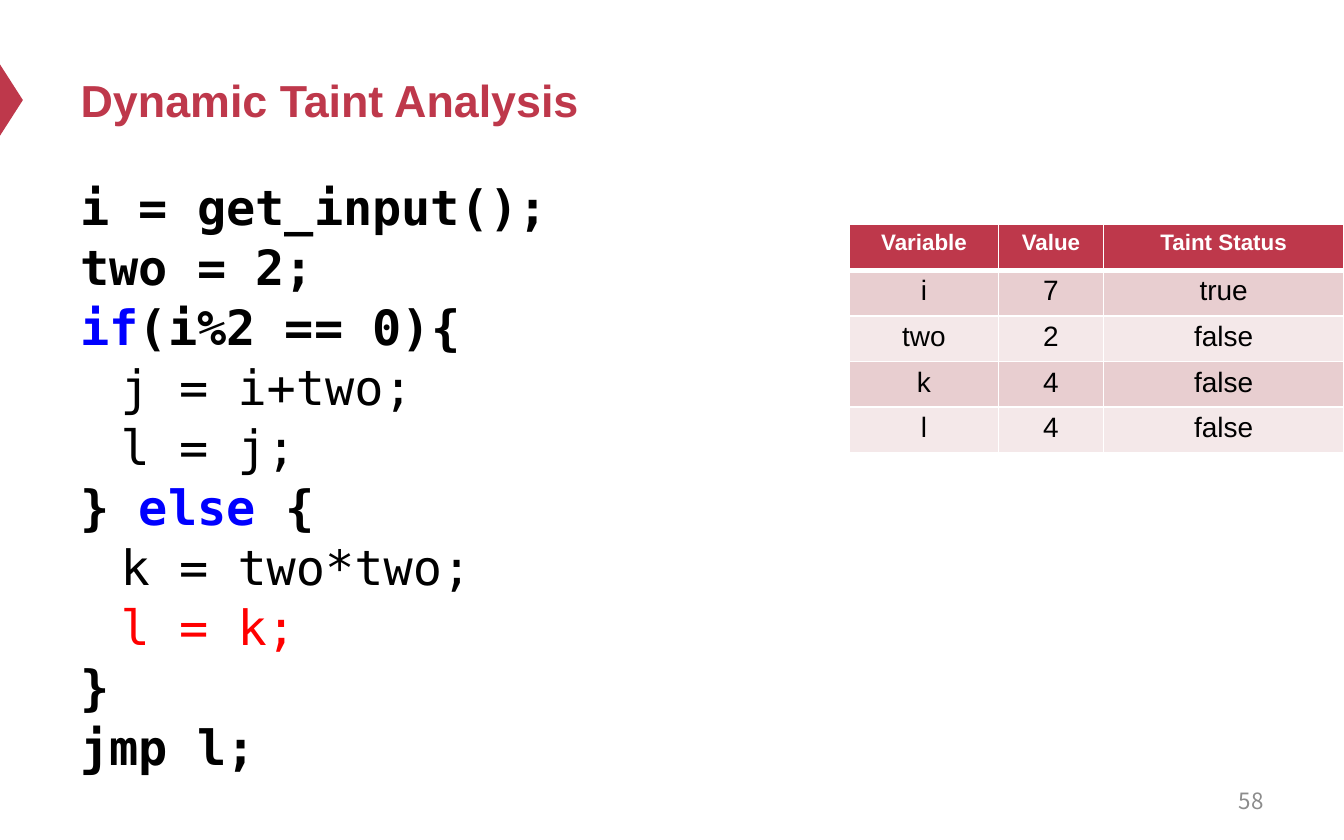
from lxml.etree import SubElement
from pptx import Presentation
from pptx.dml.color import RGBColor
from pptx.enum.shapes import MSO_SHAPE
from pptx.enum.text import MSO_ANCHOR, MSO_AUTO_SIZE, PP_ALIGN
from pptx.oxml.ns import qn
from pptx.util import Emu, Pt

PX = 9144  # 100 px to the inch
RED, BLACK, WHITE, BLUE = "BE384B", "000000", "FFFFFF", "0000FF"
BANDS = "E8CED0", "F4E8E9"
MONO = "DejaVu Sans Mono"

TITLE = "Dynamic Taint Analysis"
PAGE = "58"
# Each line: indent level, then runs of text and colour
CODE = [
    (0, [("i = get_input();", BLACK)]),
    (0, [("two = 2;", BLACK)]),
    (0, [("if", BLUE), ("(i%2 == 0){", BLACK)]),
    (1, [("j = i+two;", BLACK)]),
    (1, [("l = j;", BLACK)]),
    (0, [("} ", BLACK), ("else", BLUE), (" {", BLACK)]),
    (1, [("k = two*two;", BLACK)]),
    (1, [("l = k;", "FF0000")]),
    (0, [("}", BLACK)]),
    (0, [("jmp l;", BLACK)]),
]
TABLE = [
    ("Variable", "Value", "Taint Status"),
    ("i", "7", "true"),
    ("two", "2", "false"),
    ("k", "4", "false"),
    ("l", "4", "false"),
]
COLS = 111, 78, 179
ROW = 34


def px(*vals):
    return [Emu(v * PX) for v in vals]


def rgb(code):
    return RGBColor.from_string(code)


def style(font, color, **vals):
    font.color.rgb = rgb(color)
    for key, val in vals.items():
        setattr(font, key, val)


def frame(shape, **vals):
    text = shape.text_frame
    vals = {"word_wrap": True, "auto_size": MSO_AUTO_SIZE.NONE, **vals}
    for key, val in vals.items():
        setattr(text, key, val)
    return text


def border(cell, widths):
    """Draw white cell sides; the lines must come before the fill."""
    props = cell._tc.get_or_add_tcPr()
    for side, width in widths.items():
        line = SubElement(props, qn(f"a:ln{side}"), w=str(Pt(width)))
        fill = SubElement(line, qn("a:solidFill"))
        SubElement(fill, qn("a:srgbClr"), val=WHITE)


def add_title(slide):
    title = slide.shapes.title
    title.left, title.top, title.width, title.height = px(50, 25, 900, 98)
    para = frame(title, vertical_anchor=MSO_ANCHOR.MIDDLE).paragraphs[0]
    para.text = TITLE
    para.alignment = PP_ALIGN.LEFT
    style(para.runs[0].font, RED, name="Arial", size=Pt(24), bold=True)


def add_marker(slide):
    mark = slide.shapes.add_shape(
        MSO_SHAPE.ISOSCELES_TRIANGLE, *px(-18, 66, 53, 17))
    mark.rotation = 90
    mark.shadow.inherit = False
    mark.fill.solid()
    mark.fill.fore_color.rgb = rgb(RED)
    mark.line.fill.background()


def add_code(slide):
    box = slide.shapes.add_textbox(*px(50, 124, 900, 412))
    text = frame(box, margin_top=px(8)[0])
    for n, (level, runs) in enumerate(CODE):
        para = text.add_paragraph() if n else text.paragraphs[0]
        if n:
            para.space_before = Pt(0.9)
        if level:
            para.level = level
            para._p.get_or_add_pPr().set("marL", str(30 * level * PX))
        for words, color in runs:
            run = para.add_run()
            run.text = words
            style(run.font, color, name=MONO, size=Pt(26), bold=not level)


def add_table(slide):
    grid = slide.shapes.add_table(
        len(TABLE), len(COLS),
        *px(632, 167, sum(COLS), ROW * len(TABLE))).table
    for col, width in zip(grid.columns, COLS):
        col.width = px(width)[0]
    for r, row in enumerate(TABLE):
        head = r == 0
        grid.rows[r].height = px(ROW)[0]
        for c, words in enumerate(row):
            cell = grid.cell(r, c)
            cell.margin_top, cell.margin_bottom = px(4, 4)
            border(cell, {"L": 1, "R": 1, "T": 3 if r == 1 else 1,
                          "B": 3 if head else 1})
            cell.fill.solid()
            cell.fill.fore_color.rgb = rgb(RED if head else BANDS[(r - 1) % 2])
            para = cell.text_frame.paragraphs[0]
            para.text = words
            para.alignment = PP_ALIGN.CENTER
            style(para.runs[0].font, WHITE if head else BLACK, name="Arial",
                  size=Pt(12 if head else 15), bold=head)


def add_page(slide):
    box = slide.shapes.add_textbox(*px(717, 579, 233, 33))
    para = frame(box, vertical_anchor=MSO_ANCHOR.MIDDLE).paragraphs[0]
    para.text = PAGE
    para.alignment = PP_ALIGN.RIGHT
    style(para.runs[0].font, "8C8C8C", name="Noto Sans CJK SC", size=Pt(12))


def main():
    deck = Presentation()
    deck.slide_width, deck.slide_height = px(1000, 625)
    slide = deck.slides.add_slide(deck.slide_layouts[5])
    for add in (add_marker, add_title, add_code, add_page, add_table):
        add(slide)
    deck.save("out.pptx")


if __name__ == "__main__":
    main()
